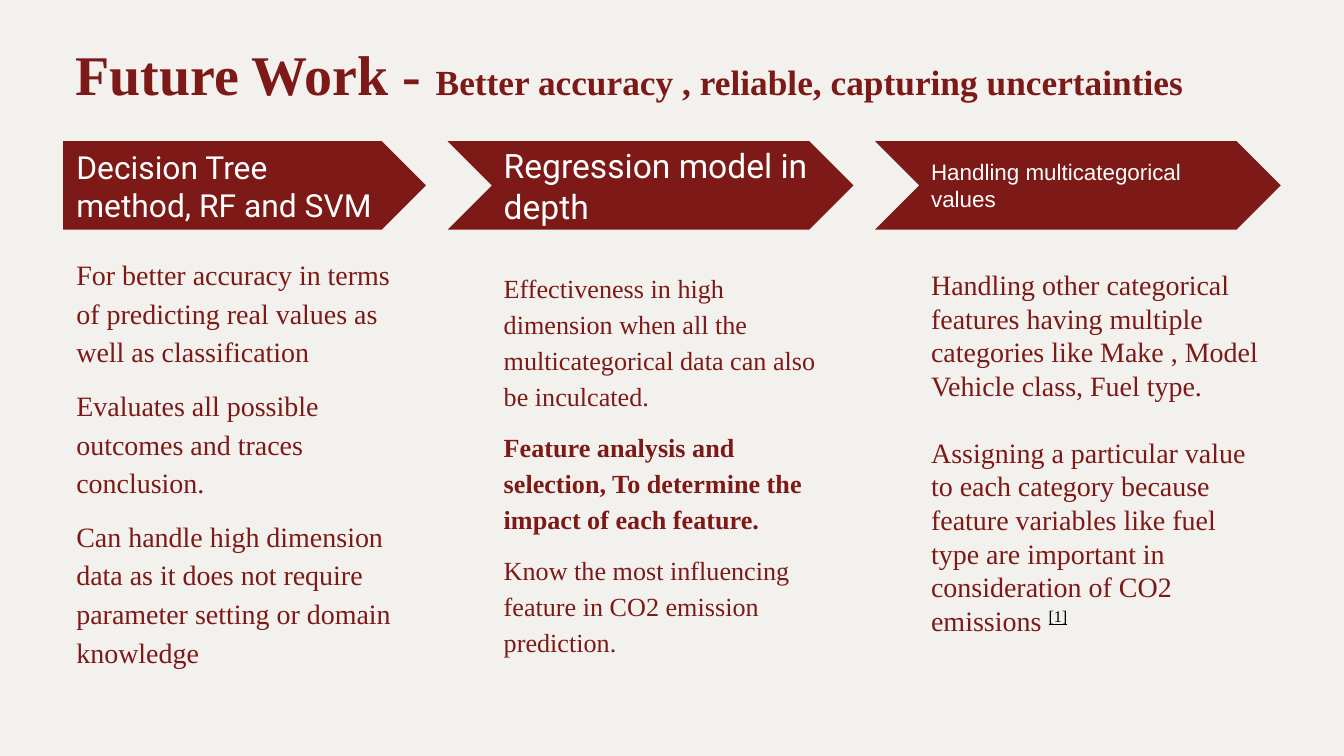
from pptx import Presentation
from pptx.dml.color import RGBColor
from pptx.enum.shapes import MSO_SHAPE
from pptx.enum.text import MSO_ANCHOR, MSO_AUTO_SIZE, PP_ALIGN
from pptx.util import Inches, Pt

THEME = {
    "maroon": RGBColor.from_string("7D1916"),
    "paper": RGBColor.from_string("F2F1EE"),
    "white": RGBColor.from_string("FFFFFF"),
    "black": RGBColor.from_string("000000"),
    "serif": "Times New Roman",
    "title": 30,
    "subtitle": 18.9,
}
FIRST_COLUMN, COLUMN_PITCH, COLUMN_WIDTH = 0.47, 3.18, 2.7
BANNER_TOP, BANNER_HEIGHT, NOTCH = 1.05, 0.66, 0.32
BODY_BOTTOM = 4.79


def write(paragraph, text, size, font, color, bold=False):
    run = paragraph.add_run()
    run.text = text
    run.font.color.rgb = color
    for name, value in {"size": Pt(size), "name": font, "bold": bold}.items():
        setattr(run.font, name, value)
    return run


def set_frame(frame, anchor, side=0.1, edge=0.1):
    settings = {
        "word_wrap": True, "auto_size": MSO_AUTO_SIZE.NONE, "vertical_anchor": anchor,
        "margin_left": Inches(side), "margin_right": Inches(side),
        "margin_top": Inches(edge), "margin_bottom": Inches(edge),
    }
    for name, value in settings.items():
        setattr(frame, name, value)


columns = [
    {
        "banner": MSO_SHAPE.PENTAGON, "notch": 0,
        "heading": ("Decision Tree method, RF and SVM", 17, "Roboto"),
        "top": 1.78, "size": 15, "spacing": 1.15,
        "points": [
            ("For better accuracy in terms of predicting real values as well as classification", 0, False),
            ("Evaluates all possible outcomes and traces conclusion.", 8, False),
            ("Can handle high dimension data as it does not require parameter setting or domain knowledge", 8, False),
        ],
    },
    {
        "banner": MSO_SHAPE.CHEVRON, "notch": NOTCH,
        "heading": ("Regression model in depth", 18, "Roboto"),
        "top": 1.89, "size": 14, "spacing": 1.15,
        "points": [
            ("Effectiveness in high dimension when all the multicategorical data can also be inculcated.", 0, False),
            ("Feature analysis and selection, To determine the impact of each feature.", 8, True),
            ("Know the most influencing feature in CO2 emission prediction.", 8, False),
        ],
    },
    {
        "banner": MSO_SHAPE.CHEVRON, "notch": NOTCH,
        "heading": ("Handling multicategorical values", 12, "Arial"),
        "top": 1.89, "size": 15, "spacing": 1.0,
        "points": [
            ("Handling other categorical features having multiple categories like Make , Model", 0, False),
            ("Vehicle class, Fuel type.", 0, False),
            ("Assigning a particular value to each category because feature variables like fuel type "
             "are important in consideration of CO2 emissions ", 18, False),
        ],
    },
]

deck = Presentation()
deck.slide_width = Inches(10)
deck.slide_height = Inches(10 * 9 / 16)
slide = deck.slides.add_slide(deck.slide_layouts[5])
slide.background.fill.solid()
slide.background.fill.fore_color.rgb = THEME["paper"]

title = slide.shapes.title
for name, value in {"left": 0.49, "top": 0.22, "width": 8.62, "height": 0.62}.items():
    setattr(title, name, Inches(value))
set_frame(title.text_frame, MSO_ANCHOR.BOTTOM, 0.07, 0.04)
headline = title.text_frame.paragraphs[0]
headline.alignment = PP_ALIGN.LEFT
headline.line_spacing = 0.9
write(headline, "Future Work - ", THEME["title"], THEME["serif"], THEME["maroon"], True)
write(headline, "Better accuracy , reliable, capturing uncertainties",
      THEME["subtitle"], THEME["serif"], THEME["maroon"], True)

for index, column in enumerate(columns):
    left = FIRST_COLUMN + index * COLUMN_PITCH
    banner = slide.shapes.add_shape(
        column["banner"], Inches(left - column["notch"]), Inches(BANNER_TOP),
        Inches(COLUMN_WIDTH + column["notch"]), Inches(BANNER_HEIGHT))
    banner.adjustments[0] = 0.5
    banner.shadow.inherit = False
    banner.fill.solid()
    banner.fill.fore_color.rgb = THEME["maroon"]
    banner.line.fill.background()

    heading = slide.shapes.add_textbox(Inches(left), Inches(1.21), Inches(2.47), Inches(0.34))
    set_frame(heading.text_frame, MSO_ANCHOR.MIDDLE)
    write(heading.text_frame.paragraphs[0], *column["heading"], THEME["white"])

    body = slide.shapes.add_textbox(
        Inches(left), Inches(column["top"]),
        Inches(COLUMN_WIDTH), Inches(BODY_BOTTOM - column["top"]))
    set_frame(body.text_frame, MSO_ANCHOR.TOP)
    for number, (text, gap, bold) in enumerate(column["points"]):
        point = body.text_frame.add_paragraph() if number else body.text_frame.paragraphs[0]
        point.line_spacing = column["spacing"]
        point.space_before = Pt(gap)
        write(point, text, column["size"], THEME["serif"], THEME["maroon"], bold)

citation = write(point, "[1]", column["size"], THEME["serif"], THEME["black"])
citation.font.underline = True
citation.font._element.set("baseline", "30000")

deck.save("out.pptx")
